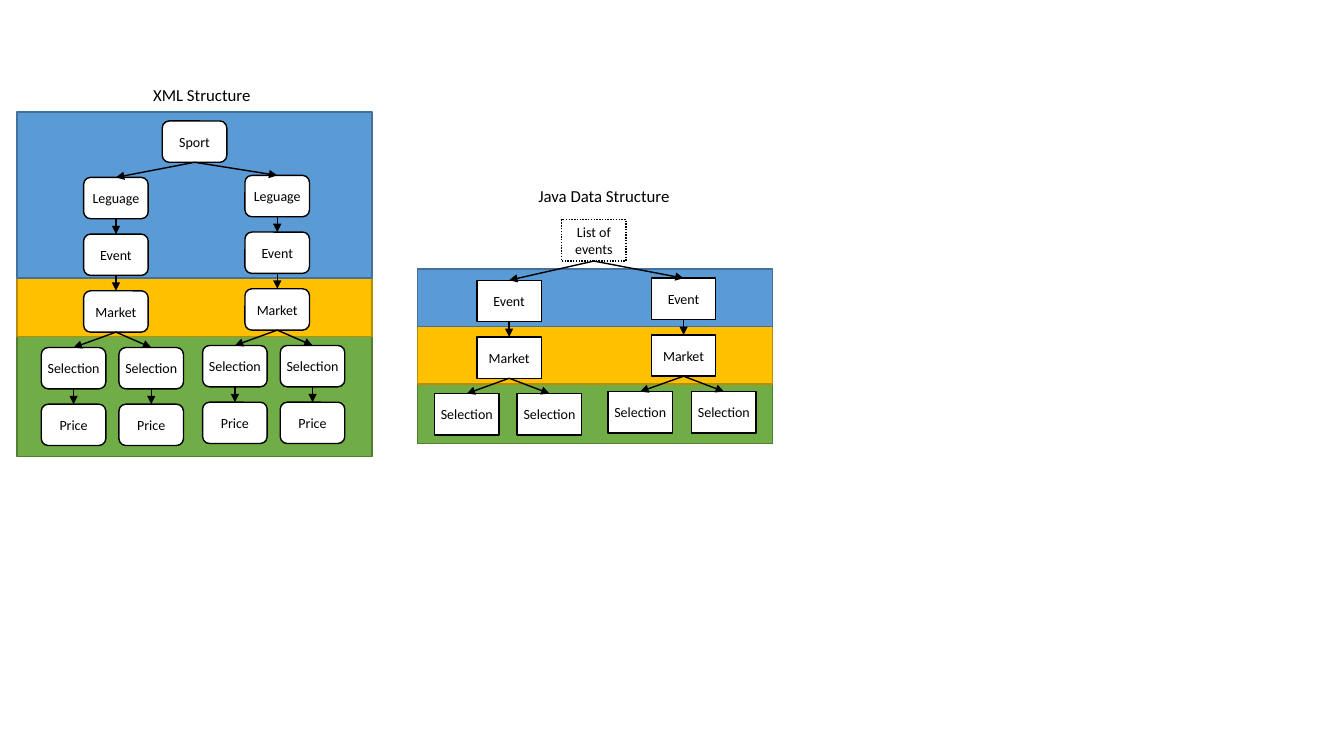
from pptx import Presentation
from pptx.dml.color import RGBColor
from pptx.enum.dml import MSO_LINE_DASH_STYLE as DASH
from pptx.enum.shapes import MSO_CONNECTOR, MSO_SHAPE
from pptx.enum.text import MSO_ANCHOR, MSO_AUTO_SIZE, PP_ALIGN
from pptx.oxml.ns import qn
from pptx.util import Inches, Pt
from lxml import etree

BLUE, AMBER, GREEN = ("5B9BD5", "41719C"), ("FFC000", "BC8C00"), ("70AD47", "507E32")
BOX_WIDTH, BOX_HEIGHT, ROW_STEP = 0.64, 0.41, 0.5625
BOTTOM, TOP = 2, 0


def color(value):
    return RGBColor.from_string(value)


class Diagram:
    """Holds the shared style and the current slide."""

    font_name = "Calibri"
    ink = "000000"
    paper = "FFFFFF"

    def __init__(self, slide):
        self.slide = slide

    def style_text(self, paragraph, size):
        paragraph.font.name = self.font_name
        paragraph.font.size = Pt(size)
        paragraph.font.color.rgb = color(self.ink)

    def shape(self, kind, left, top, width, height, fill, line):
        shape = self.slide.shapes.add_shape(
            kind, Inches(left), Inches(top), Inches(width), Inches(height))
        shape.shadow.inherit = False
        shape.fill.solid()
        shape.fill.fore_color.rgb = color(fill)
        shape.line.color.rgb = color(line)
        shape.line.width = Pt(1)
        return shape

    def bands(self, left, edges):
        """Stack the three coloured levels between consecutive edges."""
        levels = list(zip((BLUE, AMBER, GREEN), edges, edges[1:]))
        for (fill, line), top, bottom in reversed(levels):
            self.shape(MSO_SHAPE.RECTANGLE, left, top, 3.52, bottom - top, fill, line)

    def box(self, kind, text, left, top):
        shape = self.shape(kind, left, top, BOX_WIDTH, BOX_HEIGHT, self.paper, self.ink)
        frame = shape.text_frame
        frame.word_wrap = True
        frame.vertical_anchor = MSO_ANCHOR.MIDDLE
        frame.margin_left = frame.margin_right = Inches(0.04)
        frame.margin_top = frame.margin_bottom = Inches(0.04)
        paragraph = frame.paragraphs[0]
        paragraph.text = text
        paragraph.alignment = PP_ALIGN.CENTER
        self.style_text(paragraph, 10)
        return shape

    def arrow(self, parent, child):
        connector = self.slide.shapes.add_connector(MSO_CONNECTOR.STRAIGHT, 0, 0, 0, 0)
        connector.begin_connect(parent, BOTTOM)
        connector.end_connect(child, TOP)
        connector.line.color.rgb = color(self.ink)
        connector.line.width = Pt(1)
        line = connector.line._get_or_add_ln()
        etree.SubElement(line, qn("a:tailEnd"), type="triangle")
        etree.SubElement(connector._element.spPr, qn("a:effectLst"))

    def branch(self, kind, root, trunk, leaves, left, top, leaf_lefts):
        """Draw a column of trunk boxes that splits into columns of leaf boxes."""
        parent = root
        parent = self.chain(kind, parent, trunk, left, top)
        leaf_top = top + len(trunk) * ROW_STEP
        for leaf_left in leaf_lefts:
            self.chain(kind, parent, leaves, leaf_left, leaf_top)

    def chain(self, kind, parent, names, left, top):
        for row, name in enumerate(names):
            child = self.box(kind, name, left, top + row * ROW_STEP)
            self.arrow(parent, child)
            parent = child
        return parent

    def title(self, text, left, top, width):
        box = self.slide.shapes.add_textbox(
            Inches(left), Inches(top), Inches(width), Inches(0.3))
        frame = box.text_frame
        frame.word_wrap = False
        frame.auto_size = MSO_AUTO_SIZE.SHAPE_TO_FIT_TEXT
        frame.paragraphs[0].text = text
        self.style_text(frame.paragraphs[0], 12)


def main():
    presentation = Presentation()
    presentation.slide_width = Inches(13.33)
    presentation.slide_height = Inches(7.5)
    diagram = Diagram(presentation.slides.add_slide(presentation.slide_layouts[6]))

    # Coloured levels
    diagram.bands(4.14, (2.67, 3.24, 3.81, 4.4))
    diagram.bands(0.17, (1.11, 2.76, 3.34, 4.53))

    # XML tree
    diagram.title("XML Structure", 1.42, 0.79, 1.18)
    rounded = MSO_SHAPE.ROUNDED_RECTANGLE
    sport = diagram.box(rounded, "Sport", 1.61, 1.2)
    for left, top, leaf_lefts in ((0.83, 1.76, (0.41, 1.18)),
                                  (2.43, 1.74, (2.01, 2.78))):
        diagram.branch(rounded, sport, ("Leguage", "Event", "Market"),
                       ("Selection", "Price"), left, top, leaf_lefts)

    # Java tree
    diagram.title("Java Data Structure", 5.24, 1.79, 1.52)
    square = MSO_SHAPE.RECTANGLE
    events = diagram.box(square, "List of events", 5.57, 2.18)
    events.line.dash_style = DASH.ROUND_DOT
    for left, top, leaf_lefts in ((4.73, 2.78, (4.31, 5.13)),
                                  (6.46, 2.76, (6.03, 6.86))):
        diagram.branch(square, events, ("Event", "Market"),
                       ("Selection",), left, top, leaf_lefts)

    presentation.save("out.pptx")


if __name__ == "__main__":
    main()
